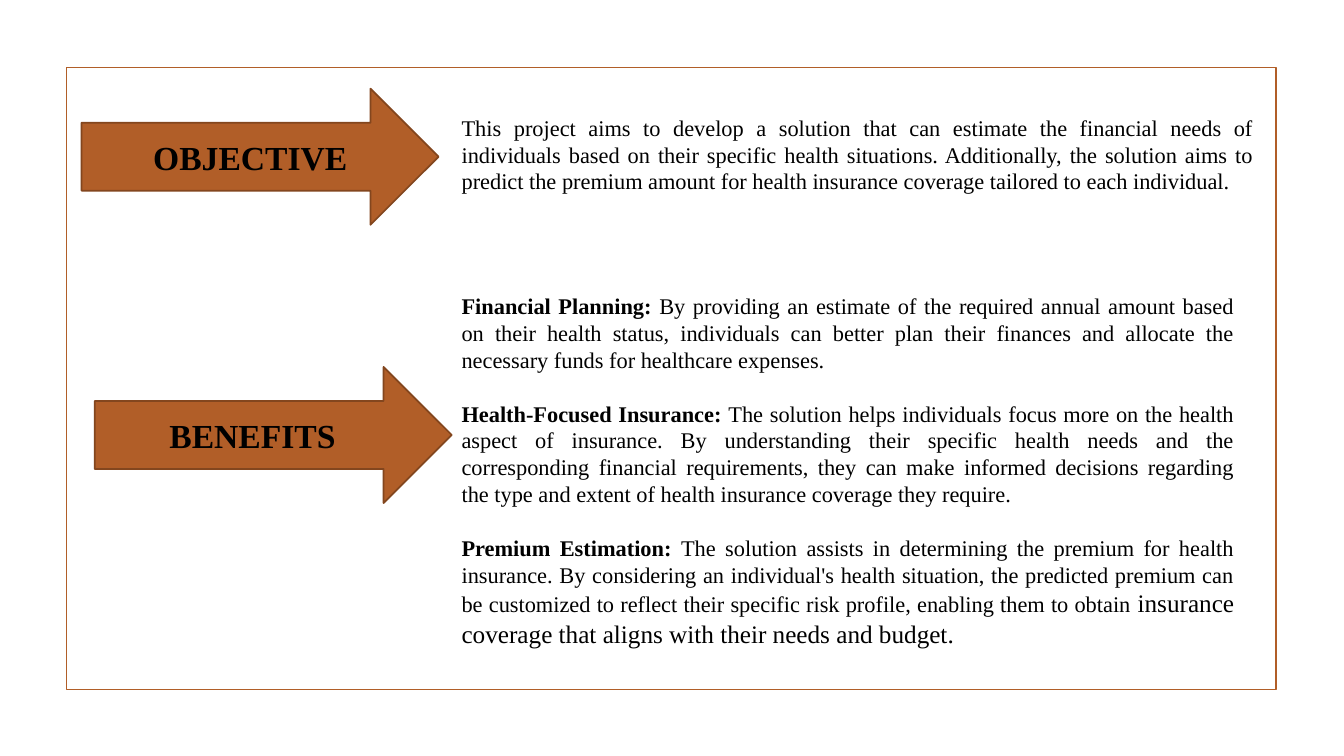
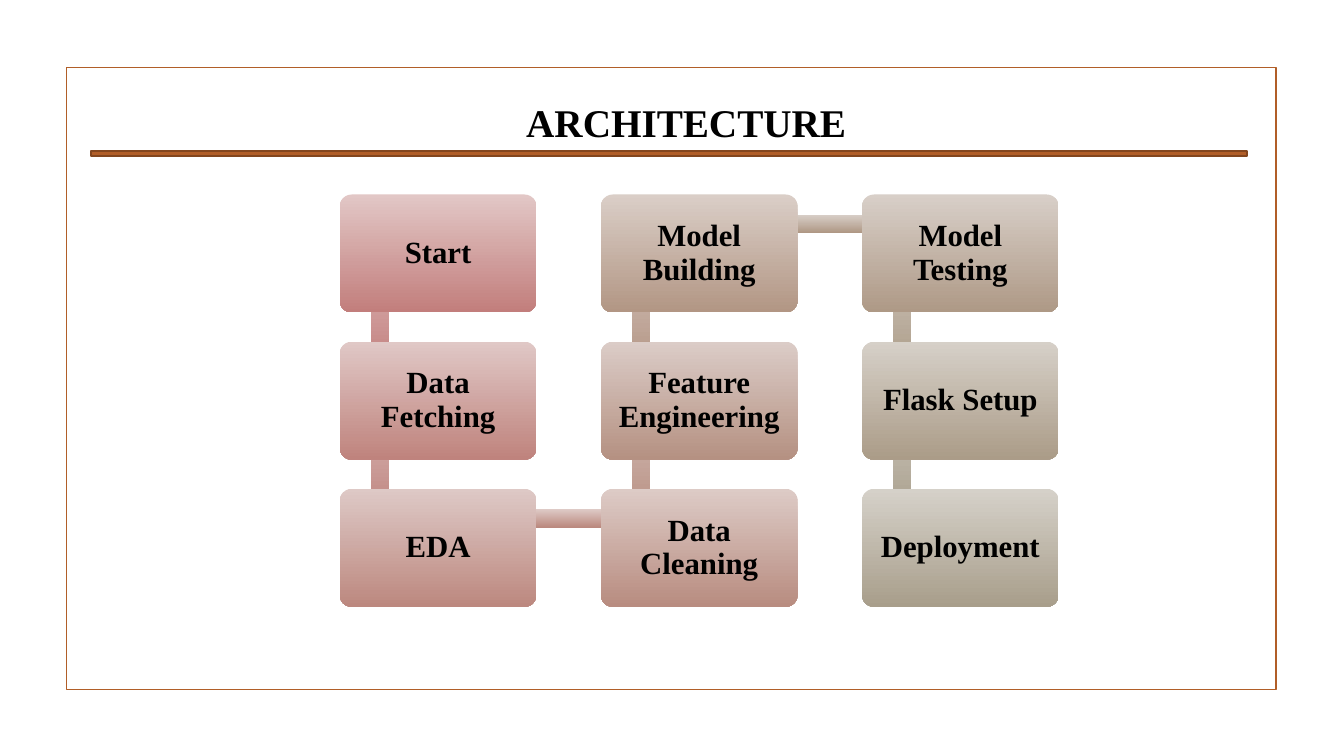
from pptx import Presentation
from pptx.dml.color import RGBColor
from pptx.enum.shapes import MSO_SHAPE
from pptx.enum.text import MSO_ANCHOR, PP_ALIGN
from pptx.util import Inches, Pt

FONT = "Times New Roman"
COLORS = {"accent": "B15E28", "accent_dark": "83461E", "text": "000000"}

OBJECTIVE = [[(
    "This project aims to develop a solution that can estimate the financial needs of "
    "individuals based on their specific health situations. Additionally, the solution aims "
    "to predict the premium amount for health insurance coverage tailored to each individual.",
    16, False)]]
BENEFITS = [
    [("Financial Planning:", 16, True),
     (" By providing an estimate of the required annual amount based on their health status, "
      "individuals can better plan their finances and allocate the necessary funds for "
      "healthcare expenses.", 16, False)],
    [("Health-Focused Insurance: ", 16, True),
     ("The solution helps individuals focus more on the health aspect of insurance. By "
      "understanding their specific health needs and the corresponding financial requirements, "
      "they can make informed decisions regarding the type and extent of health insurance "
      "coverage they require.", 16, False)],
    [("Premium Estimation: ", 16, True),
     ("The solution assists in determining the premium for health insurance. By considering an "
      "individual's health situation, the predicted premium can be customized to reflect their "
      "specific risk profile, enabling them to obtain ", 16, False),
     ("insurance coverage that aligns with their needs and budget.", 18, False)],
]

# Label, gradient of the box, gradient of the link to the next step
STEPS = [
    ("Start", ("E2C7C6", "C27E7C"), ("E2C7C6", "C27E7C")),
    ("Data Fetching", ("E0C8C6", "BF837D"), ("E0C8C6", "BE837E")),
    ("EDA", ("DEC9C6", "BC887F"), ("DECAC6", "BB897F")),
    ("Data Cleaning", ("DDCBC6", "B88C80"), ("DCCBC7", "B78F81")),
    ("Feature Engineering", ("DBCCC7", "B59182"), ("DACDC7", "B39483")),
    ("Model Building", ("DACEC7", "B29684"), ("D8CFC8", "AF9885")),
    ("Model Testing", ("D8CFC8", "AE9986"), ("D7D0C8", "AC9C88")),
    ("Flask Setup", ("D6D0C8", "AB9C88"), ("D5D1C9", "A89E8B")),
    ("Deployment", ("D5D1C9", "A89E8B"), None),
]
ROWS = 3
GRID_LEFT, GRID_TOP = 3.37, 1.93
COLUMN_STEP, ROW_STEP = 2.59, 1.46
BOX_WIDTH, BOX_HEIGHT = 1.95, 1.17
LINK_X, LINK_Y, LINK_THICKNESS = 0.4, 0.29, 0.18


def style_run(run, size, bold):
    run.font.name = FONT
    run.font.size = Pt(size)
    run.font.bold = bold
    run.font.color.rgb = RGBColor.from_string(COLORS["text"])


def add_shape(slide, kind, left, top, width, height, fill=None, line=None):
    """Add a preset shape; fill is a colour, a pair for a gradient, or None."""
    shape = slide.shapes.add_shape(
        kind, Inches(left), Inches(top), Inches(width), Inches(height))
    shape.shadow.inherit = False
    if fill is None:
        shape.fill.background()
    elif isinstance(fill, tuple):
        shape.fill.gradient()
        shape.fill.gradient_angle = 270
        for stop, color in zip(shape.fill.gradient_stops, fill):
            stop.color.rgb = RGBColor.from_string(color)
    else:
        shape.fill.solid()
        shape.fill.fore_color.rgb = RGBColor.from_string(fill)
    if line:
        shape.line.color.rgb = RGBColor.from_string(line)
        shape.line.width = Pt(1.25)
    else:
        shape.line.fill.background()
    return shape


def set_label(shape, text, size, alignment):
    text_frame = shape.text_frame
    text_frame.word_wrap = True
    text_frame.text = text
    paragraph = text_frame.paragraphs[0]
    paragraph.alignment = alignment
    style_run(paragraph.runs[0], size, True)
    return paragraph


def add_text_box(slide, left, top, width, height):
    return slide.shapes.add_textbox(
        Inches(left), Inches(top), Inches(width), Inches(height))


def add_body(slide, left, top, width, height, paragraphs):
    text_frame = add_text_box(slide, left, top, width, height).text_frame
    text_frame.word_wrap = True
    for index, parts in enumerate(paragraphs):
        paragraph = text_frame.add_paragraph() if index else text_frame.paragraphs[0]
        paragraph.alignment = PP_ALIGN.JUSTIFY
        paragraph.space_before = Pt(19.2 if index else 0)
        for text, size, bold in parts:
            run = paragraph.add_run()
            run.text = text
            style_run(run, size, bold)


def add_arrow(slide, left, top, label, indent):
    arrow = add_shape(slide, MSO_SHAPE.RIGHT_ARROW, left, top, 3.54, 1.35,
                      COLORS["accent"], COLORS["accent_dark"])
    arrow.text_frame.margin_left = Inches(indent)
    arrow.text_frame.vertical_anchor = MSO_ANCHOR.MIDDLE
    set_label(arrow, label, 24, PP_ALIGN.LEFT)


def add_title(slide, text):
    title = add_text_box(slide, 0.9, 0.93, 11.81, 0.57)
    set_label(title, text, 28, PP_ALIGN.CENTER)
    add_shape(slide, MSO_SHAPE.RECTANGLE, 0.9, 1.5, 11.47, 0.05,
              COLORS["accent"], COLORS["accent_dark"])


def step_position(index):
    """Return the corner of a step; every second column runs upwards."""
    column, row = divmod(index, ROWS)
    if column % 2:
        row = ROWS - 1 - row
    return GRID_LEFT + column * COLUMN_STEP, GRID_TOP + row * ROW_STEP


def add_link(slide, index, gradient):
    (left_a, top_a), (left_b, top_b) = step_position(index), step_position(index + 1)
    half = LINK_THICKNESS / 2
    left = min(left_a, left_b) + LINK_X
    top = min(top_a, top_b) + LINK_Y
    if left_a == left_b:
        bounds = left - half, top, LINK_THICKNESS, ROW_STEP
    else:
        bounds = left, top - half, COLUMN_STEP, LINK_THICKNESS
    add_shape(slide, MSO_SHAPE.RECTANGLE, *bounds, gradient)


def add_step(slide, index, label, gradient):
    box = add_shape(slide, MSO_SHAPE.ROUNDED_RECTANGLE, *step_position(index),
                    BOX_WIDTH, BOX_HEIGHT, gradient)
    box.adjustments[0] = 0.1
    text_frame = box.text_frame
    text_frame.margin_left = text_frame.margin_right = Inches(0.09)
    text_frame.margin_top = text_frame.margin_bottom = Inches(0.09)
    text_frame.vertical_anchor = MSO_ANCHOR.MIDDLE
    set_label(box, label, 22, PP_ALIGN.CENTER).line_spacing = 0.9


def add_framed_slide(presentation):
    slide = presentation.slides.add_slide(presentation.slide_layouts[6])
    add_shape(slide, MSO_SHAPE.RECTANGLE, 0.66, 0.67, 12, 6.17, line=COLORS["accent"])
    return slide


def build_objective_slide(presentation):
    slide = add_framed_slide(presentation)
    add_arrow(slide, 0.81, 0.88, "OBJECTIVE", 0.71)
    add_body(slide, 4.48, 1.08, 8.05, 0.91, OBJECTIVE)
    add_arrow(slide, 0.94, 3.64, "BENEFITS", 0.74)
    add_body(slide, 4.48, 2.85, 7.86, 3.67, BENEFITS)


def build_architecture_slide(presentation):
    slide = add_framed_slide(presentation)
    add_title(slide, "ARCHITECTURE")
    # Links lie behind the boxes
    for index, (_, _, link_gradient) in enumerate(STEPS):
        if link_gradient:
            add_link(slide, index, link_gradient)
    for index, (label, box_gradient, _) in enumerate(STEPS):
        add_step(slide, index, label, box_gradient)


def main():
    presentation = Presentation()
    presentation.slide_width = Inches(13.33)
    presentation.slide_height = Inches(7.5)
    build_objective_slide(presentation)
    build_architecture_slide(presentation)
    presentation.save("out.pptx")


if __name__ == "__main__":
    main()
